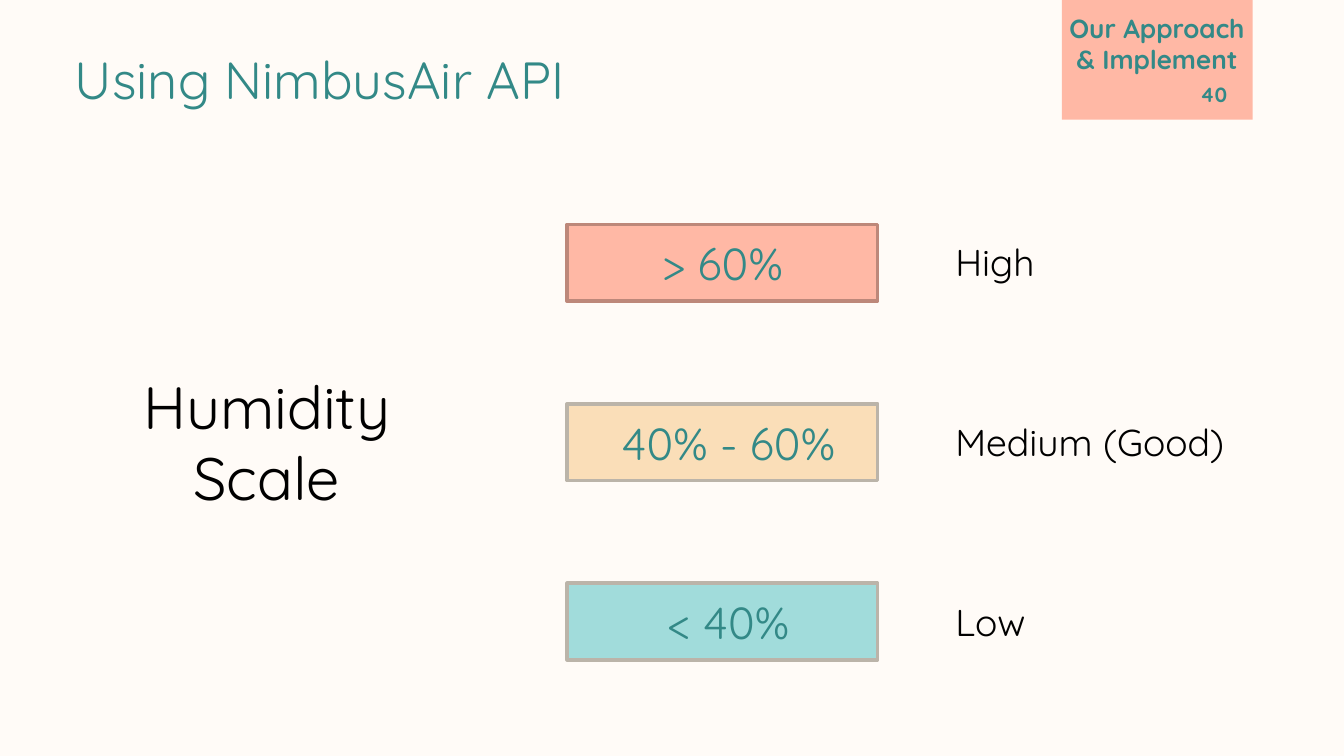
from pptx import Presentation
from pptx.dml.color import RGBColor
from pptx.enum.shapes import MSO_SHAPE
from pptx.enum.text import MSO_ANCHOR, MSO_AUTO_SIZE, PP_ALIGN
from pptx.util import Inches, Pt

CREAM = RGBColor(0xFF, 0xFB, 0xF7)
TEAL = RGBColor(0x33, 0x89, 0x87)
CORAL = RGBColor(0xFF, 0xB8, 0xA5)
DARK_CORAL = RGBColor(0xBD, 0x88, 0x7A)
SAND = RGBColor(0xFA, 0xDE, 0xB8)
AQUA = RGBColor(0xA1, 0xDC, 0xDB)
GREY = RGBColor(0xBB, 0xB4, 0xA9)
BLACK = RGBColor(0, 0, 0)


def write(shape, text, size, color, align=PP_ALIGN.LEFT, anchor=MSO_ANCHOR.TOP, bold=False):
    frame = shape.text_frame
    frame.word_wrap = True
    frame.vertical_anchor = anchor
    paragraph = frame.paragraphs[0]
    paragraph.text = text
    paragraph.alignment = align
    paragraph.font.name = "Quicksand"
    paragraph.font.size = Pt(size)
    paragraph.font.bold = bold
    paragraph.font.color.rgb = color
    return frame


def add_box(left, top, width, height, fill):
    box = slide.shapes.add_shape(
        MSO_SHAPE.RECTANGLE, Inches(left), Inches(top), Inches(width), Inches(height))
    box.shadow.inherit = False
    box.fill.solid()
    box.fill.fore_color.rgb = fill
    box.line.fill.background()
    return box


presentation = Presentation()
presentation.slide_width = Inches(10)
presentation.slide_height = Inches(10) * 9 // 16
slide = presentation.slides.add_slide(presentation.slide_layouts[6])
slide.background.fill.solid()
slide.background.fill.fore_color.rgb = CREAM

add_box(7.9, 0, 1.42, 0.89, CORAL)
page_number = slide.shapes.add_textbox(Inches(8.63), Inches(0.52), Inches(0.6), Inches(0.43))
section = slide.shapes.add_textbox(Inches(7.83), Inches(0.13), Inches(1.56), Inches(0.53))
for frame in (
    write(page_number, "40", 11, TEAL, PP_ALIGN.RIGHT, bold=True),
    write(section, "Our Approach & Implement", 14, TEAL, PP_ALIGN.CENTER, MSO_ANCHOR.BOTTOM, True),
):
    frame.margin_left = frame.margin_right = Inches(0.1)
    frame.margin_top = frame.margin_bottom = Inches(0.1)

title = slide.shapes.add_textbox(Inches(0.46), Inches(0.3), Inches(6.97), Inches(0.57))
write(title, "Using NimbusAir API", 28, TEAL).auto_size = MSO_AUTO_SIZE.SHAPE_TO_FIT_TEXT

levels = [
    ("> 60%", "High", 2.18, CORAL, DARK_CORAL),
    (" 40% - 60%", "Medium (Good)", 2.67, SAND, GREY),
    (" < 40%", "Low", 2.18, AQUA, GREY),
]
for row, (humidity, rating, rating_width, fill, border) in enumerate(levels):
    band = add_box(4.22, 1.67 + row * 2.67 / 2, 2.31, 0.57, fill)
    band.line.color.rgb = border
    band.line.width = Pt(2)
    write(band, humidity, 24, TEAL, PP_ALIGN.CENTER, MSO_ANCHOR.MIDDLE)
    label = slide.shapes.add_textbox(
        Inches(7.01), Inches(1.73 + row * 1.34), Inches(rating_width), Inches(0.44))
    write(label, rating, 20, BLACK).auto_size = MSO_AUTO_SIZE.SHAPE_TO_FIT_TEXT

scale = slide.shapes.add_textbox(Inches(0.81), Inches(2.7), Inches(2.35), Inches(1.18))
write(scale, "Humidity Scale", 32, BLACK, PP_ALIGN.CENTER).auto_size = MSO_AUTO_SIZE.SHAPE_TO_FIT_TEXT

presentation.save("out.pptx")
